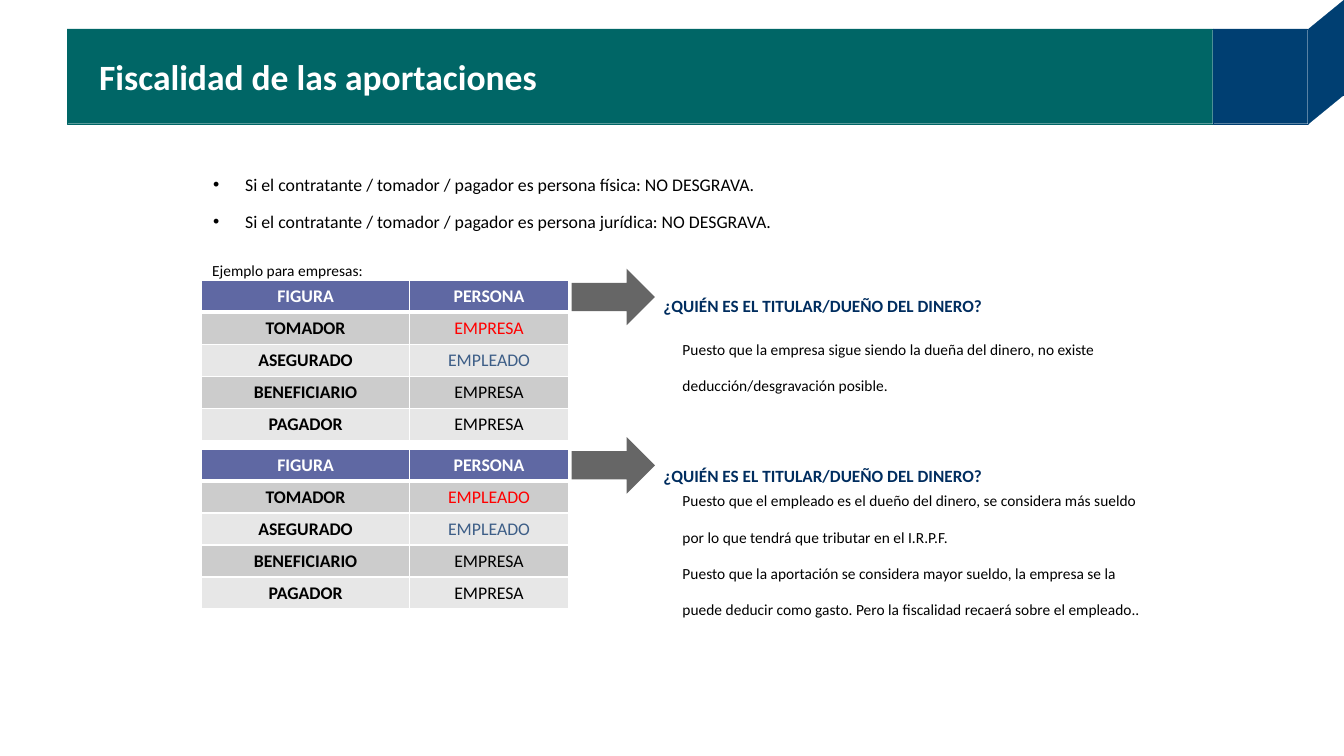
import pptx
import pptx.dml.color
import pptx.enum.shapes
import pptx.enum.text
import pptx.oxml.ns
import pptx.util
from lxml import etree
from pptx.util import Inches

FONT = "Calibri"
WHITE, BLACK, RED = "FFFFFF", "000000", "FF0000"
TEAL, NAVY, HEADING_BLUE = "006666", "003F72", "002D5F"
ARROW_GREY, HEADER_PURPLE, EMPLOYEE_BLUE = "666666", "5F68A3", "3D5E87"
BAND_COLORS = ("CCCCCC", "E7E7E7")
PRESET = pptx.enum.shapes.MSO_SHAPE
MIDDLE = pptx.enum.text.MSO_ANCHOR.MIDDLE
ROLES = ("TOMADOR", "ASEGURADO", "BENEFICIARIO", "PAGADOR")
QUESTION = "¿QUIÉN ES EL TITULAR/DUEÑO DEL DINERO?"


def set_color(color_holder, color):
    """Colour a fill made solid beforehand, or a font."""
    color_holder.rgb = pptx.dml.color.RGBColor.from_string(color)


def add_block(slide, preset, left, top, width, height, color, outlined=True, rotation=0):
    shape = slide.shapes.add_shape(
        preset, Inches(left), Inches(top), Inches(width), Inches(height))
    shape.shadow.inherit = False
    shape.rotation = rotation
    shape.fill.solid()
    set_color(shape.fill.fore_color, color)
    if outlined:
        shape.line.width = pptx.util.Pt(0.1)
        set_color(shape.line.color, color)
    else:
        shape.line.fill.background()


def add_run(paragraph, text, size, color, bold=False, lowered=False):
    run = paragraph.add_run()
    run.text = text
    run.font.name = FONT
    run.font.size = pptx.util.Pt(size)
    run.font.bold = bold
    set_color(run.font.color, color)
    if lowered:
        run.font._element.set("baseline", "-25000")


def add_text_frame(slide, left, top, width, height):
    box = slide.shapes.add_textbox(Inches(left), Inches(top), Inches(width), Inches(height))
    box.text_frame.word_wrap = True
    return box.text_frame


def add_lowered_text(slide, left, top, width, height, text, size=18, color=BLACK, bold=False):
    """Add a text box whose run sits below the baseline, as a subscript."""
    frame = add_text_frame(slide, left, top, width, height)
    add_run(frame.paragraphs[0], text, size, color, bold, lowered=True)


def add_title_bar(slide):
    add_block(slide, PRESET.RECTANGLE, 0.63, 0.27, 10.74, 0.89, TEAL)
    add_block(slide, PRESET.RECTANGLE, 11.37, 0.27, 0.89, 0.89, NAVY)
    for top, rotation in ((-0.03, 270), (0.86, 90)):
        add_block(slide, PRESET.RIGHT_TRIANGLE, 12.3, top, 0.27, 0.33, NAVY, rotation=rotation)
    add_block(slide, PRESET.RECTANGLE, 12.27, 0.27, 0.33, 0.62, NAVY)
    frame = add_text_frame(slide, 0.63, 0.27, 10.75, 0.89)
    frame.vertical_anchor = MIDDLE
    frame.margin_left = Inches(0.3)
    add_run(frame.paragraphs[0], "Fiscalidad de las aportaciones", 24, WHITE, bold=True)


def add_bullets(slide, texts):
    frame = add_text_frame(slide, 1.89, 1.52, 8.11, 0.71)
    for index, text in enumerate(texts):
        paragraph = frame.add_paragraph() if index else frame.paragraphs[0]
        paragraph.line_spacing = 1.3
        if index:
            paragraph.space_before = pptx.util.Pt(6)
        properties = paragraph._p.get_or_add_pPr()
        properties.set("marL", str(Inches(0.31)))
        properties.set("indent", str(Inches(-0.3)))
        font = etree.SubElement(properties, pptx.oxml.ns.qn("a:buFont"))
        font.set("typeface", "Arial")
        bullet = etree.SubElement(properties, pptx.oxml.ns.qn("a:buChar"))
        bullet.set("char", "•")
        add_run(paragraph, text, 12, BLACK)


def set_borders(cell, top_width, bottom_width):
    """Draw white borders, placed ahead of the cell fill as the schema asks."""
    properties = cell._tc.get_or_add_tcPr()
    widths = (("lnL", 1), ("lnR", 1), ("lnT", top_width), ("lnB", bottom_width))
    for position, (side, width) in enumerate(widths):
        line = etree.Element(pptx.oxml.ns.qn("a:" + side), w=str(pptx.util.Pt(width)))
        fill = etree.SubElement(line, pptx.oxml.ns.qn("a:solidFill"))
        etree.SubElement(fill, pptx.oxml.ns.qn("a:srgbClr"), val=WHITE)
        properties.insert(position, line)


def fill_cell(cell, row, text, color, bold):
    cell.fill.solid()
    set_color(cell.fill.fore_color, BAND_COLORS[(row - 1) % 2] if row else HEADER_PURPLE)
    set_borders(cell, 3 if row == 1 else 1, 3 if row == 0 else 1)
    cell.vertical_anchor = MIDDLE
    paragraph = cell.text_frame.paragraphs[0]
    paragraph.alignment = pptx.enum.text.PP_ALIGN.CENTER
    add_run(paragraph, text, 12, color, bold)


def add_roles_table(slide, top, policyholder):
    """List who fills each role; only the policyholder changes between tables."""
    people = ((policyholder, RED), ("EMPLEADO", EMPLOYEE_BLUE),
              ("EMPRESA", BLACK), ("EMPRESA", BLACK))
    table = slide.shapes.add_table(
        len(ROLES) + 1, 2, Inches(1.89), Inches(top), Inches(3.44), Inches(1.5)).table
    for column, width in zip(table.columns, (1.95, 1.49)):
        column.width = Inches(width)
    for column, header in enumerate(("FIGURA", "PERSONA")):
        fill_cell(table.cell(0, column), 0, header, WHITE, True)
    for row, (role, (person, color)) in enumerate(zip(ROLES, people), start=1):
        fill_cell(table.cell(row, 0), row, role, BLACK, True)
        fill_cell(table.cell(row, 1), row, person, color, False)


def add_example(slide, table_top, policyholder, question_top, answers):
    add_block(slide, PRESET.RIGHT_ARROW, 5.36, table_top - 0.11, 0.78, 0.53,
              ARROW_GREY, outlined=False)
    add_lowered_text(slide, 6.12, question_top, 4.95, 0.33, QUESTION, 20, HEADING_BLUE, True)
    for top, answer in answers:
        add_lowered_text(slide, 6.3, top, 4.65, 0.71, answer)
    add_roles_table(slide, table_top, policyholder)


def main():
    presentation = pptx.Presentation()
    presentation.slide_width = Inches(12.6)
    presentation.slide_height = Inches(7.09)
    slide = presentation.slides.add_slide(presentation.slide_layouts[6])
    add_title_bar(slide)
    add_bullets(slide, (
        "Si el contratante / tomador / pagador es persona física: NO DESGRAVA.",
        "Si el contratante / tomador / pagador es persona jurídica: NO DESGRAVA."))
    add_lowered_text(slide, 1.89, 2.23, 2.05, 0.3, "Ejemplo para empresas:")
    add_example(slide, 2.63, "EMPRESA", 2.53, (
        (2.97, "Puesto que la empresa sigue siendo la dueña del dinero, no existe "
               "deducción/desgravación posible."),))
    add_example(slide, 4.21, "EMPLEADO", 4.13, (
        (4.39, "Puesto que el empleado es el dueño del dinero, se considera más sueldo "
               "por lo que tendrá que tributar en el I.R.P.F."),
        (5.07, "Puesto que la aportación se considera mayor sueldo, la empresa se la "
               "puede deducir como gasto. Pero la fiscalidad recaerá sobre el empleado..")))
    presentation.save("out.pptx")


if __name__ == "__main__":
    main()
